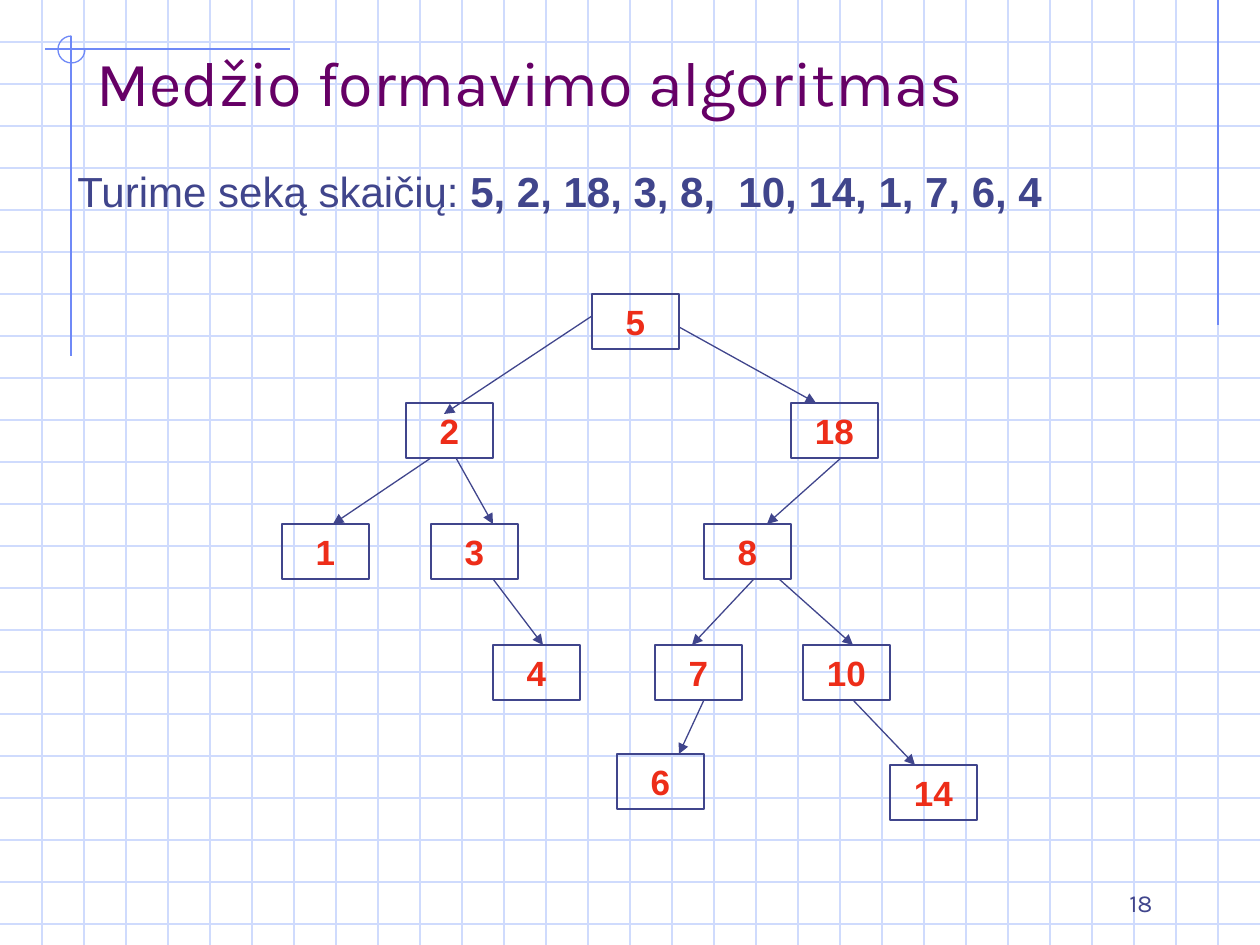
from lxml import etree
from pptx import Presentation
from pptx.dml.color import RGBColor
from pptx.enum.shapes import MSO_CONNECTOR, MSO_SHAPE
from pptx.enum.text import MSO_ANCHOR, PP_ALIGN
from pptx.oxml.ns import qn
from pptx.util import Emu, Pt

STRAIGHT = MSO_CONNECTOR.STRAIGHT
RECTANGLE, ARC = MSO_SHAPE.RECTANGLE, MSO_SHAPE.ARC
TOP, MIDDLE, BOTTOM = MSO_ANCHOR.TOP, MSO_ANCHOR.MIDDLE, MSO_ANCHOR.BOTTOM
LEFT, CENTER, RIGHT = PP_ALIGN.LEFT, PP_ALIGN.CENTER, PP_ALIGN.RIGHT

PX_PER_INCH = 126
WIDTH, HEIGHT = 1260, 945
GRID_STEP = 42
NODE_W, NODE_H = 87, 55
COLORS = {
    "grid": "CFDBFD",
    "ornament": "6F89F7",
    "title": "660066",
    "ink": "40458C",
    "number": "ED2D19",
}
NODES = {
    "5": (592, 294),
    "2": (406, 403), "18": (791, 403),
    "1": (282, 524), "3": (431, 524), "8": (704, 524),
    "4": (493, 645), "7": (655, 645), "10": (803, 645),
    "6": (617, 754), "14": (890, 765),
}
BRANCHES = [
    ((592, 316), (444, 414)),
    ((679, 327), (816, 403)),
    ((456, 458), (493, 524)),
    ((431, 458), (333, 524)),
    ((841, 458), (767, 524)),
    ((779, 579), (853, 645)),
    ((754, 579), (692, 645)),
    ((493, 579), (543, 645)),
    ((704, 700), (679, 754)),
    ((853, 700), (915, 765)),
]


def px(*lengths):
    return [Emu(round(length * 914400 / PX_PER_INCH)) for length in lengths]


def rgb(name):
    return RGBColor.from_string(COLORS[name])


def write(frame, *runs, size, color, font="Arial", align=LEFT, anchor=TOP,
          wrap=True, spacing=None):
    """Fill the frame with one paragraph of (text, bold) runs."""
    frame.word_wrap = wrap
    frame.vertical_anchor = anchor
    paragraph = frame.paragraphs[0]
    paragraph.alignment = align
    paragraph.line_spacing = spacing
    for text, bold in runs:
        run = paragraph.add_run()
        run.text = text
        run.font.name = font
        run.font.size = Pt(size)
        run.font.bold = bold
        run.font.color.rgb = rgb(color)


class TreeSlide:
    line_width = Pt(0.75)

    def __init__(self, slide):
        self.shapes = slide.shapes

    def outline(self, shape, color):
        shape.line.color.rgb = rgb(color)
        shape.line.width = self.line_width

    def line(self, start, end, color, arrow=False):
        connector = self.shapes.add_connector(STRAIGHT, *px(*start, *end))
        self.outline(connector, color)
        properties = connector.line._get_or_add_ln()
        if arrow:
            etree.SubElement(properties, qn("a:tailEnd"), type="triangle")
        etree.SubElement(properties.getparent(), qn("a:effectLst"))

    def shape(self, kind, box, color):
        shape = self.shapes.add_shape(kind, *px(*box))
        shape.shadow.inherit = False
        shape.fill.background()
        self.outline(shape, color)
        return shape

    def grid(self):
        for y in range(GRID_STEP, HEIGHT, GRID_STEP):
            self.line((0, y), (WIDTH, y), "grid")
        for x in range(GRID_STEP, WIDTH, GRID_STEP):
            self.line((x, 0), (x, HEIGHT), "grid")

    def ornament(self):
        self.line((1218, 0), (1218, 325), "ornament")
        self.line((290, 49), (45, 49), "ornament")
        self.line((71, 36), (71, 356), "ornament")
        arc = self.shape(ARC, (58, 36, 27, 27), "ornament")
        # Angles are in 60000ths of a degree, scaled by 100000: 0 to 270 degrees
        arc.adjustments[0] = 0
        arc.adjustments[1] = 162

    def text(self, box, *runs, **style):
        write(self.shapes.add_textbox(*px(*box)).text_frame, *runs, **style)

    def node(self, number, corner):
        node = self.shape(RECTANGLE, (*corner, NODE_W, NODE_H), "ink")
        write(node.text_frame, (number, True), size=20, color="number",
              align=CENTER, anchor=MIDDLE, wrap=False)


def main():
    presentation = Presentation()
    presentation.slide_width, presentation.slide_height = px(WIDTH, HEIGHT)
    page = TreeSlide(presentation.slides.add_slide(presentation.slide_layouts[6]))

    page.grid()
    page.ornament()
    page.text((903, 861, 262, 63), ("18", False), size=14, color="ink",
              font="Karla", align=RIGHT, anchor=BOTTOM)
    page.text((84, 42, 1071, 83), ("Medžio formavimo algoritmas", False),
              size=36, color="title", font="Karla", anchor=BOTTOM)
    page.text((65, 165, 1152, 91), ("Turime seką skaičių: ", False),
              ("5, 2, 18, 3, 8,  10, 14, 1, 7, 6, 4", True),
              size=24, color="ink", spacing=0.9)
    for number, corner in NODES.items():
        page.node(number, corner)
    for start, end in BRANCHES:
        page.line(start, end, "ink", arrow=True)

    presentation.save("out.pptx")


if __name__ == "__main__":
    main()
